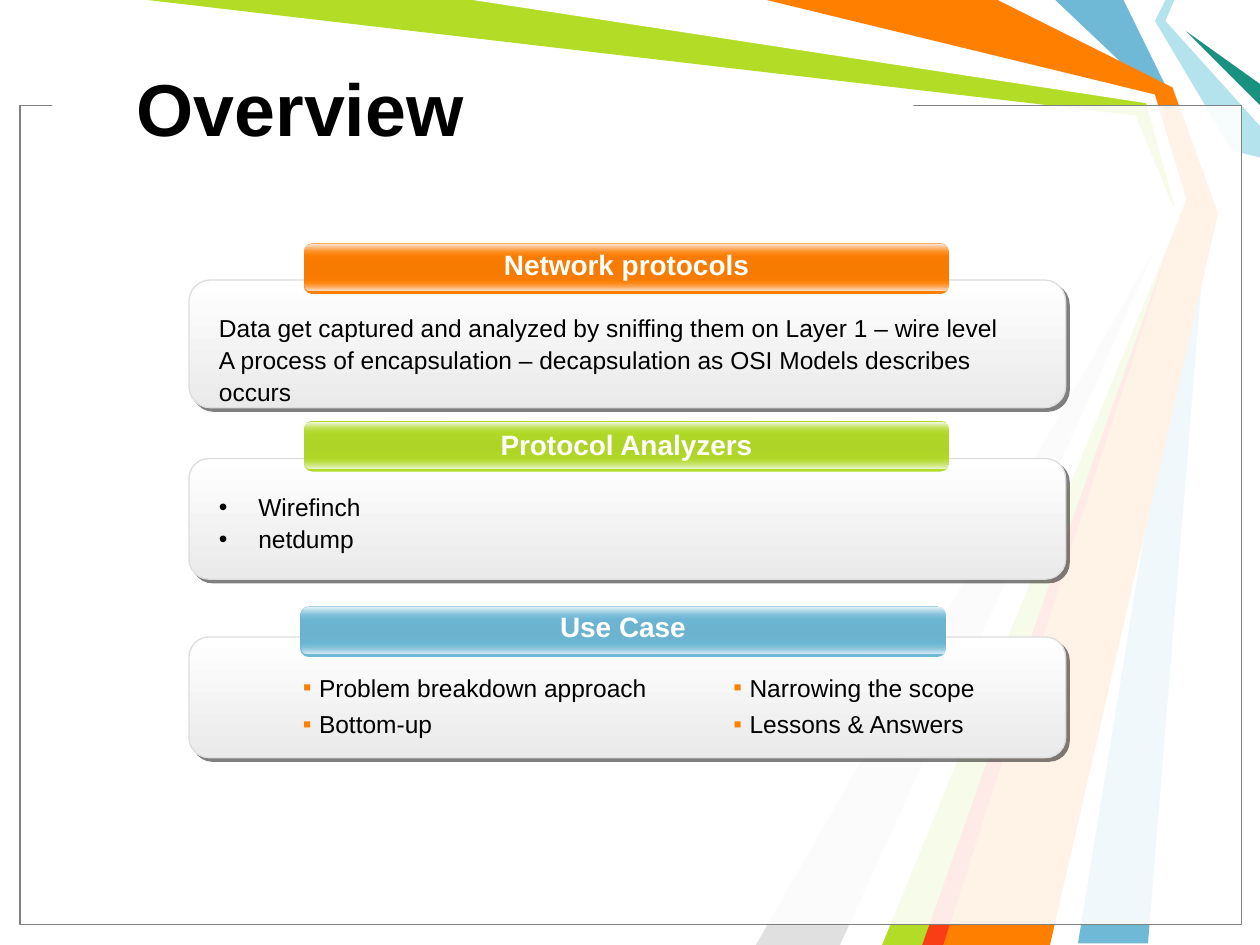
from pptx import Presentation
from pptx.dml.color import RGBColor
from pptx.enum.shapes import MSO_SHAPE as Shape
from pptx.enum.text import MSO_ANCHOR as Anchor, PP_ALIGN as Align
from pptx.oxml import parse_xml
from pptx.oxml.ns import nsdecls
from pptx.util import Pt

COLORS = {
    "white": "FFFFFF", "black": "000000", "blue": "6FB9D7", "green": "B3DC27",
    "grey": "E0E0E0", "pale": "B4E3EE", "teal": "189180", "orange": "FF7F00",
    "red": "F93D17", "frame": "808080", "panel_end": "EAEAEA", "panel_edge": "DDDDDD",
    "orange_mid": "F67B00", "orange_low": "FFECE7", "orange_high": "FFEAE4",
    "green_mid": "ADD426", "green_low": "F3F9E9", "green_high": "F5FAED",
    "blue_mid": "6BB3CF", "blue_low": "E5F0F6", "blue_high": "ECF4F8",
}


class SlideStyle:
    face = "Arial"

    def __init__(self, slide):
        self.slide = slide

    def rgb(self, color):
        return RGBColor.from_string(COLORS[color])

    def xml(self, tag, content):
        return parse_xml(f'<a:{tag} {nsdecls("a")}>{content}</a:{tag}>')

    def color_xml(self, color, alpha=100):
        return f'<a:srgbClr val="{COLORS[color]}"><a:alpha val="{alpha * 1000}"/></a:srgbClr>'

    def shadow_xml(self, distance):
        return self.xml("effectLst", f'<a:outerShdw dist="{Pt(distance)}" dir="2700000">'
                        f'{self.color_xml("black", 50)}</a:outerShdw>')

    def ribbon(self, color, points):
        start, *rest = [(Pt(x), Pt(y)) for x, y in points]
        builder = self.slide.shapes.build_freeform(*start)
        builder.add_line_segments(rest)
        ribbon = builder.convert_to_shape()
        ribbon.fill.solid()
        ribbon.fill.fore_color.rgb = self.rgb(color)
        ribbon.line.fill.background()
        ribbon.shadow.inherit = False

    def box(self, kind, bounds, color, alpha=100, edge=None):
        box = self.slide.shapes.add_shape(kind, *map(Pt, bounds))
        box.shadow.inherit = False
        box.fill.solid()
        box.fill.fore_color.rgb = self.rgb(color)
        if alpha < 100:
            box.fill._xPr.solidFill.srgbClr.append(
                parse_xml(f'<a:alpha {nsdecls("a")} val="{alpha * 1000}"/>'))
        if edge:
            box.line.color.rgb = self.rgb(edge)
            box.line.width = Pt(0.75)
        else:
            box.line.fill.background()
        return box

    def gradient_box(self, bounds, radius, stops, edge=None):
        box = self.box(Shape.ROUNDED_RECTANGLE, bounds, stops[0][0], edge=edge)
        box.adjustments[0] = radius
        step = 100000 // (len(stops) - 1)
        marks = "".join(f'<a:gs pos="{i * step}">{self.color_xml(*stop)}</a:gs>'
                        for i, stop in enumerate(stops))
        solid = box.fill._xPr.solidFill
        solid.getparent().replace(solid, self.xml(
            "gradFill", f'<a:gsLst>{marks}</a:gsLst><a:lin ang="5400000" scaled="0"/>'))
        return box

    def panel(self, top, height):
        panel = self.gradient_box((108, top, 501, height), 0.167,
                                  [("white",), ("panel_end",)], "panel_edge")
        effects = panel._element.spPr.find(
            "{http://schemas.openxmlformats.org/drawingml/2006/main}effectLst")
        effects.getparent().replace(effects, self.shadow_xml(2.8))

    def banner(self, heading, color, left, top, heading_top):
        self.gradient_box((left, top, 369, 29), 0.175,
                          [(color,), (f"{color}_mid",), (color,)])
        clear = (color, 0)
        for offset, stops in ((20.5, [clear, (f"{color}_low",)]),
                              (0.7, [(f"{color}_high",), clear])):
            self.gradient_box((left + 0.7, top + offset, 368, 6.7), 0.5, stops)
        label = self.text((left, heading_top, 369, 27), [heading], 16,
                          "white", bold=True, align=Align.CENTER)
        run = label.text_frame.paragraphs[0].runs[0]
        run._r.get_or_add_rPr().append(self.shadow_xml(1.5))

    def text(self, bounds, lines, size=14, color="black", bold=False, align=Align.LEFT,
             spacing=1, gap=0, indent=0, bullet=None, bullet_color="black",
             anchor=Anchor.TOP):
        box = self.slide.shapes.add_textbox(*map(Pt, bounds))
        frame = box.text_frame
        frame.word_wrap = True
        frame.vertical_anchor = anchor
        frame.text = "\n".join(lines)
        for paragraph in frame.paragraphs:
            paragraph.alignment = align
            paragraph.line_spacing = spacing
            paragraph.space_after = Pt(gap)
            if bullet:
                properties = paragraph._p.get_or_add_pPr()
                properties.set("marL", str(Pt(indent)))
                properties.set("indent", str(-Pt(indent)))
                properties.append(self.xml("buClr", self.color_xml(bullet_color)))
                properties.append(parse_xml(
                    f'<a:buFont {nsdecls("a")} typeface="{self.face}"/>'))
                properties.append(parse_xml(
                    f'<a:buChar {nsdecls("a")} char="{bullet}"/>'))
            font = paragraph.font
            font.name, font.size, font.bold = self.face, Pt(size), bold
            font.color.rgb = self.rgb(color)
        return box


RIBBONS = [
    ("blue", [(642, 0), (669, 55), (690, 120), (656, 539), (616, 539),
              (684, 120), (660, 54), (603, 0)]),
    ("green", [(84, 0), (276, 0), (658, 56), (678, 122), (534, 540),
               (498, 540), (673, 125), (649, 66)]),
    ("grey", [(480, 540), (667, 130), (432, 540)]),
    ("white", [(270, 0), (655, 59), (671, 117), (486, 540), (504, 540),
               (678, 114), (660, 54), (432, 0)]),
    ("pale", [(666, 0), (660, 12), (704, 86), (720, 90), (720, 72),
              (666, 12), (671, 0)]),
    ("teal", [(720, 60), (678, 18), (720, 48)]),
    ("orange", [(438, 0), (570, 0), (670, 50), (696, 122), (600, 540),
                (528, 540), (678, 114), (660, 54)]),
    ("red", [(527, 540), (671, 132), (539, 540)]),
]
PANELS = [(364, 69), (262, 69), (160, 73)]
BANNERS = [
    ("Protocol Analyzers", "green", 173.5, 240.5, 241),
    ("Use Case", "blue", 171.5, 346.5, 345),
    ("Network protocols", "orange", 173.5, 139, 138),
]
USE_CASES = [
    ((166, 384, 218, 43), ["Problem breakdown approach", "Bottom-up"]),
    ((412, 384, 156, 43), ["Narrowing the scope", "Lessons & Answers"]),
]


def main():
    deck = Presentation()
    deck.slide_width, deck.slide_height = Pt(720), Pt(540)
    overview = SlideStyle(deck.slides.add_slide(deck.slide_layouts[6]))

    for color, points in RIBBONS:
        overview.ribbon(color, points)
    overview.box(Shape.RECTANGLE, (11.5, 60.5, 698, 468), "white", 90, "frame")
    overview.box(Shape.RECTANGLE, (30, 53, 492, 12), "white")

    for top, height in PANELS:
        overview.panel(top, height)
    overview.text((71, 16, 496, 90), ["Overview"], 42, bold=True, anchor=Anchor.MIDDLE)
    for banner in BANNERS:
        overview.banner(*banner)

    overview.text((118, 276, 480, 43), ["Wirefinch", "netdump"],
                  spacing=1.1, indent=22.5, bullet="•")
    overview.text((118, 173.5, 480, 62), [
        "Data get captured and analyzed by sniffing them on Layer 1 – wire level",
        "A process of encapsulation – decapsulation as OSI Models describes occurs",
    ], spacing=1.1)
    for bounds, cases in USE_CASES:
        overview.text(bounds, cases, spacing=0.8, gap=7.5, indent=9.2,
                      bullet="▪", bullet_color="orange")

    deck.save("out.pptx")


if __name__ == "__main__":
    main()
